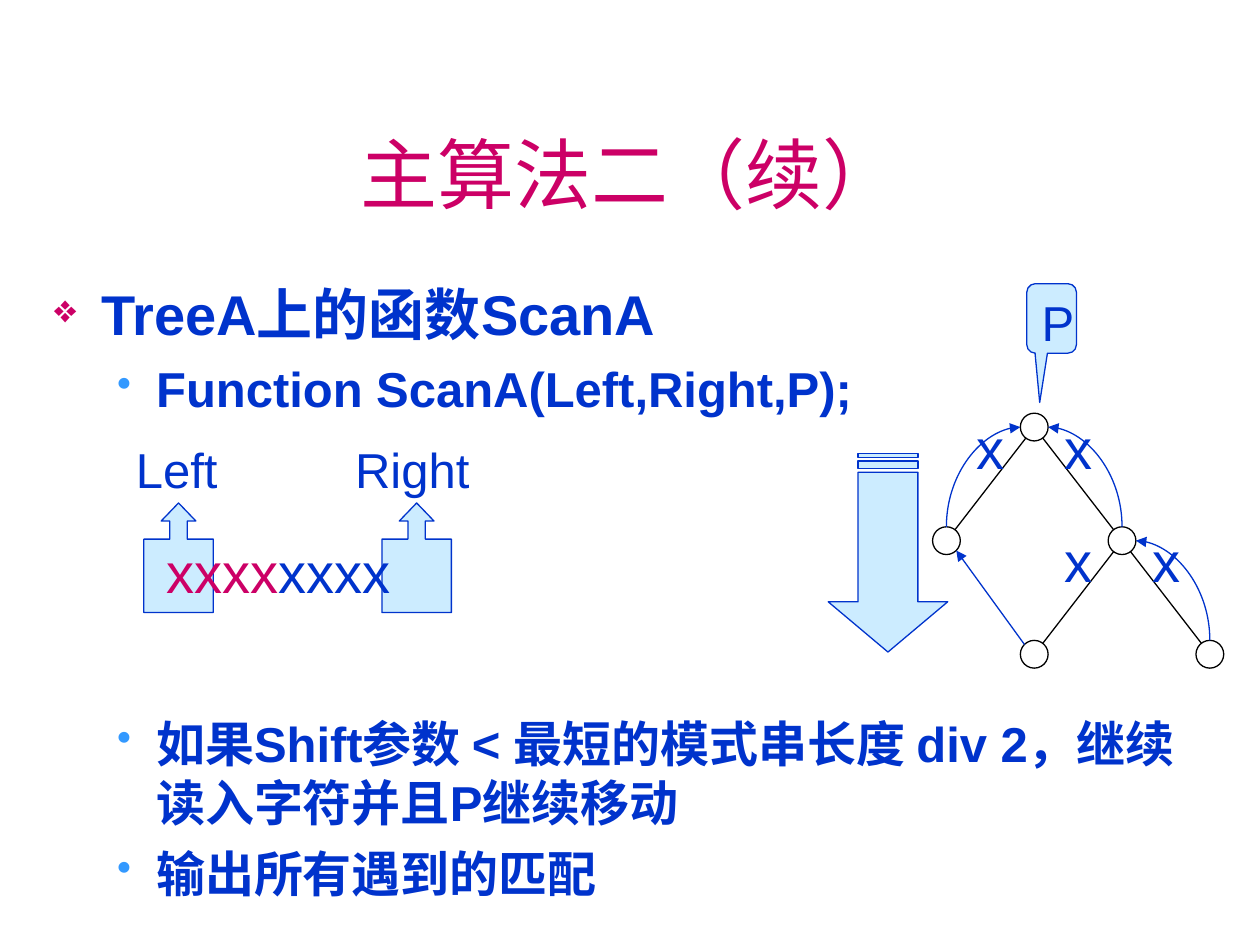
from math import sqrt

from lxml.etree import SubElement
from pptx import Presentation
from pptx.dml.color import RGBColor
from pptx.enum.shapes import MSO_CONNECTOR, MSO_SHAPE
from pptx.enum.text import MSO_ANCHOR, MSO_AUTO_SIZE, PP_ALIGN
from pptx.oxml.ns import qn
from pptx.util import Cm, Pt

BLUE = RGBColor(0x00, 0x33, 0xCC)
MAGENTA = RGBColor(0xCC, 0x00, 0x66)
SKY = RGBColor(0x33, 0x99, 0xFF)
PALE = RGBColor(0xCC, 0xEC, 0xFF)
WHITE = RGBColor(0xFF, 0xFF, 0xFF)
BLACK = RGBColor(0x00, 0x00, 0x00)


def style_font(font, size, color=BLUE, bold=False):
    """Set the slide's typeface with a size and colour."""
    font.name, font.size, font.bold = "Arial", Pt(size), bold
    font.color.rgb = color


def add_label(shapes, text, x, y, w, h, size, inset=True):
    """Add a text box and return its paragraph."""
    tf = shapes.add_textbox(Cm(x), Cm(y), Cm(w), Cm(h)).text_frame
    tf.word_wrap = True
    if not inset:
        tf.margin_left = tf.margin_right = tf.margin_top = tf.margin_bottom = 0
    p = tf.paragraphs[0]
    p.text = text
    style_font(p.font, size)
    return p


def add_preset(shapes, kind, x, y, w, h, fill=PALE, line=BLUE, adjust=()):
    """Add a flat preset shape with a thin outline."""
    sp = shapes.add_shape(kind, Cm(x), Cm(y), Cm(w), Cm(h))
    sp.shadow.inherit = False
    sp.fill.solid()
    sp.fill.fore_color.rgb = fill
    sp.line.color.rgb = line
    sp.line.width = Pt(0.75)
    for i, value in enumerate(adjust):
        sp.adjustments[i] = value
    return sp


def add_link(shapes, start, end, color=BLACK, curved=False, arrow=None):
    """Add a straight or quarter-arc connector; arrow is headEnd or tailEnd."""
    kind = MSO_CONNECTOR.CURVE if curved else MSO_CONNECTOR.STRAIGHT
    link = shapes.add_connector(kind, *(Cm(v) for v in (*start, *end)))
    link.line.color.rgb = color
    link.line.width = Pt(0.75)
    sp_pr = link._element.spPr
    if curved:
        sp_pr.find(qn("a:prstGeom")).set("prst", "curvedConnector2")
    if arrow:
        SubElement(sp_pr.find(qn("a:ln")), qn(f"a:{arrow}"), type="triangle")
    SubElement(sp_pr, qn("a:effectLst"))


def set_bullet(p, char, color, percent, left, hang):
    """Give a paragraph a coloured bullet and a hanging indent."""
    p_pr = p._p.get_or_add_pPr()
    p_pr.set("marL", str(Cm(left)))
    p_pr.set("indent", str(-Cm(hang)))
    bu_clr = p_pr.makeelement(qn("a:buClr"))
    SubElement(bu_clr, qn("a:srgbClr"), val=str(color))
    bu_size = p_pr.makeelement(qn("a:buSzPct"), val=str(percent * 1000))
    bu_char = p_pr.makeelement(qn("a:buChar"), char=char)
    for bullet in (bu_clr, bu_size, bu_char):
        p_pr.insert_element_before(bullet, "a:tabLst", "a:defRPr", "a:extLst")


def build_title(s, x, y, w, h):
    """Place and format the title placeholder."""
    sp = s.shapes.title
    sp.left, sp.top, sp.width, sp.height = Cm(x), Cm(y), Cm(w), Cm(h)
    tf = sp.text_frame
    tf.text = "主算法二（续）"
    tf.auto_size = MSO_AUTO_SIZE.NONE
    tf.vertical_anchor = MSO_ANCHOR.MIDDLE
    p = tf.paragraphs[0]
    p.alignment = PP_ALIGN.CENTER
    style_font(p.font, 44, MAGENTA)


def build_body(s, x, y, w, h):
    """Write the bulleted text, leaving a gap for the string diagram."""
    tf = s.shapes.add_textbox(Cm(x), Cm(y), Cm(w), Cm(h)).text_frame
    tf.word_wrap = True
    p = tf.paragraphs[0]
    p.text = "TreeA上的函数ScanA"
    p.space_before = Pt(8)
    style_font(p.font, 32, bold=True)
    set_bullet(p, "❖", MAGENTA, 70, 0.95, 0.95)
    items = [
        ("Function ScanA(Left,Right,P);", 7),
        ("如果Shift参数 < 最短的模式串长度 div 2，继续读入字符并且P继续移动", 169),
        ("输出所有遇到的匹配", 7),
    ]
    for text, gap in items:
        p = tf.add_paragraph()
        p.text = text
        p.level = 1
        p.space_before = Pt(gap)
        style_font(p.font, 28, bold=True)
        set_bullet(p, "•", SKY, 85, 2.06, 0.79)


def build_string(s, x, y):
    """Draw the scanned string with its Left and Right markers."""
    for dx in (0.41, 5.21):
        add_preset(s.shapes, MSO_SHAPE.UP_ARROW_CALLOUT, x + dx, y + 1.4,
                   1.4, 2.21, adjust=(0.25, 0.25, 0.26, 0.67))
    p = add_label(s.shapes, "", x + 0.61, y + 1.98, 12.4, 1.8, 32)
    for color in (MAGENTA, BLUE):
        r = p.add_run()
        r.text = "xxxx"
        r.font.color.rgb = color
    for text, dx, w in (("Left", 0, 2.39), ("Right", 4.42, 3.2)):
        add_label(s.shapes, text, x + dx, y, w, 1.45, 28)


def build_tree(s, x, y, col=1.77, row=2.29, d=0.56):
    """Draw the tree on a column and row grid, with its upward arrows."""
    shapes = s.shapes.add_group_shape().shapes
    root, left, right, inner, outer = (1, 0), (0, 1), (2, 1), (1, 2), (3, 2)

    def at(node, dx=0, dy=0):
        """Return a point offset from a node's centre, in radii."""
        return (x + node[0] * col + d / 2 * (1 + dx),
                y + node[1] * row + d / 2 * (1 + dy))

    for a, b in ((root, left), (root, right), (right, inner), (right, outer)):
        add_link(shapes, at(a), at(b))
    for node in (root, left, right, inner, outer):
        add_preset(shapes, MSO_SHAPE.OVAL, *at(node, -1, -1), d, d,
                   WHITE, BLACK)
    for i, j in ((0.5, 0), (1.5, 0), (2.5, 1), (1.5, 1)):
        p = add_label(shapes, "x", x + i * col, y + j * row, 0.89, 1.52, 32,
                      inset=False)
        p.alignment = PP_ALIGN.JUSTIFY
    for parent, child, side in ((root, left, -1), (root, right, 1),
                                (right, outer, 1)):
        add_link(shapes, at(parent, side), at(child, 0, -1), BLUE,
                 curved=True, arrow="headEnd")
    k = sqrt(0.5)
    add_link(shapes, at(inner, -k, -k), at(left, k, k), BLUE, arrow="tailEnd")


def build_pointer(s, x, y):
    """Draw the P callout and the striped arrow that points down."""
    sp = add_preset(s.shapes, MSO_SHAPE.ROUNDED_RECTANGULAR_CALLOUT,
                    x + 4.8, y, 1.0, 1.4, adjust=(-0.24, 1.21, 0.17))
    tf = sp.text_frame
    tf.vertical_anchor = MSO_ANCHOR.TOP
    p = tf.paragraphs[0]
    p.text = "P"
    p.alignment = PP_ALIGN.CENTER
    style_font(p.font, 28)
    arrow = add_preset(s.shapes, MSO_SHAPE.STRIPED_RIGHT_ARROW,
                       x, y + 4.22, 4.0, 2.41, adjust=(0.5, 0.42))
    arrow.rotation = 90


def main():
    """Build the slide and save it."""
    prs = Presentation()
    prs.slide_width, prs.slide_height = Cm(25.4), Cm(19.05)
    s = prs.slides.add_slide(prs.slide_layouts[5])
    build_title(s, 0.84, 1.9, 23.72, 3.18)
    build_body(s, 0.84, 5.51, 23.24, 12.83)
    build_string(s, 2.49, 8.74)
    build_tree(s, 18.8, 8.33)
    build_pointer(s, 15.9, 5.72)
    prs.save("out.pptx")


if __name__ == "__main__":
    main()
